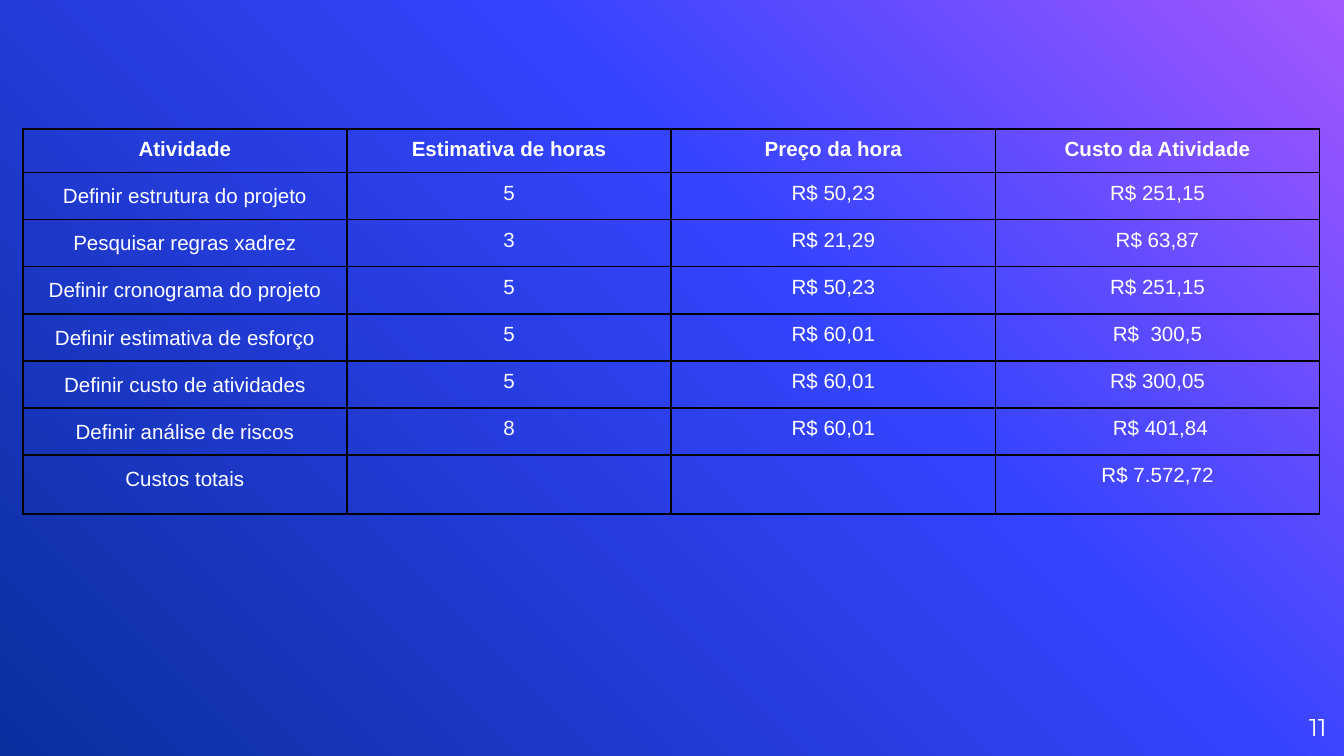
from lxml.etree import SubElement
from pptx import Presentation
from pptx.dml.color import RGBColor
from pptx.enum.text import MSO_ANCHOR, PP_ALIGN
from pptx.oxml.ns import qn
from pptx.util import Inches, Pt

HEADERS = ["Atividade", "Estimativa de horas", "Preço da hora", "Custo da Atividade"]
ACTIVITIES = [
    ("Definir estrutura do projeto", "5", "R$ 50,23", "R$ 251,15"),
    ("Pesquisar regras xadrez", "3", "R$ 21,29", "R$ 63,87"),
    ("Definir cronograma do projeto", "5", "R$ 50,23", "R$ 251,15"),
    ("Definir estimativa de esforço", "5", "R$ 60,01", "R$  300,5"),
    ("Definir custo de atividades", "5", "R$ 60,01", "R$ 300,05"),
    ("Definir análise de riscos", "8", "R$ 60,01", " R$ 401,84"),
]
TOTAL = ("Custos totais", "", "", "R$ 7.572,72")
PAGE_NUMBER = "11"
GRADIENT = [(0, "A458FF"), (39, "3544FF"), (100, "0A2F9E")]
WHITE, BLACK = "FFFFFF", "000000"
TABLE_WIDTH = 9.65
FRAME_SIZE = {"width": Inches(3.28), "height": Inches(3.28)}
HEADER_HEIGHT, BODY_HEIGHT = 0.23, 0.25
CELL_MARGIN = 0.07
HEADER_FONT = {"name": "Arial", "size": Pt(11), "bold": True}
BODY_FONT = {**HEADER_FONT, "bold": False}
NUMBER_FONT = {"name": "Montserrat", "size": Pt(13)}


def color(value):
    return RGBColor.from_string(value)


def set_attributes(target, values):
    for name, value in values.items():
        setattr(target, name, value)


def write(text_frame, text, font, alignment):
    paragraph = text_frame.paragraphs[0]
    paragraph.alignment = alignment
    run = paragraph.add_run()
    run.text = text
    set_attributes(run.font, font)
    run.font.color.rgb = color(WHITE)
    return paragraph


def add_color(parent, value):
    SubElement(parent, qn("a:srgbClr"), val=value)


def paint_background(slide):
    fill = slide.background.fill
    fill.gradient()
    fill.gradient_angle = 225
    stops = slide.element.find(f".//{qn('a:gsLst')}")
    for stop in list(stops):
        stops.remove(stop)
    for position, value in GRADIENT:
        add_color(SubElement(stops, qn("a:gs"), pos=str(position * 1000)), value)


def add_borders(cell):
    properties = cell._tc.get_or_add_tcPr()
    for side in ("L", "R", "T", "B"):
        line = SubElement(properties, qn(f"a:ln{side}"), w=str(Pt(1)))
        add_color(SubElement(line, qn("a:solidFill")), BLACK)


def keep_empty(cell):
    paragraph = cell.text_frame.paragraphs[0]
    ending = SubElement(paragraph._p, qn("a:endParaRPr"), sz="1800")
    SubElement(ending, qn("a:latin"), typeface="Arial")


def add_cost_table(slide):
    rows = [HEADERS, *ACTIVITIES, TOTAL]
    frame = slide.shapes.add_table(
        len(rows), len(HEADERS), Inches(0.17), Inches(0.96), *FRAME_SIZE.values()
    )
    table = frame.table
    set_attributes(table, {"first_row": False, "horz_banding": False})
    for column in table.columns:
        column.width = Inches(TABLE_WIDTH / len(HEADERS))
    margins = {f"margin_{side}": Inches(CELL_MARGIN) for side in ("left", "right", "top", "bottom")}
    for row_index, texts in enumerate(rows):
        table.rows[row_index].height = Inches(BODY_HEIGHT if row_index else HEADER_HEIGHT)
        font = BODY_FONT if row_index else HEADER_FONT
        for column_index, text in enumerate(texts):
            cell = table.cell(row_index, column_index)
            set_attributes(cell, margins)
            add_borders(cell)
            cell.fill.background()
            if not text:
                keep_empty(cell)
                continue
            paragraph = write(cell.text_frame, text, font, PP_ALIGN.CENTER)
            if row_index and column_index == 0:
                paragraph.line_spacing = 1.15
    set_attributes(frame, FRAME_SIZE)


def add_page_number(slide):
    box = slide.shapes.add_textbox(Inches(9.27), Inches(5.19), Inches(0.6), Inches(0.43))
    set_attributes(box.text_frame, {
        "word_wrap": True, "vertical_anchor": MSO_ANCHOR.MIDDLE,
        "margin_left": 0, "margin_right": 0, "margin_top": 0, "margin_bottom": 0,
    })
    write(box.text_frame, PAGE_NUMBER, NUMBER_FONT, PP_ALIGN.RIGHT)


def main():
    presentation = Presentation()
    width = Inches(10)
    set_attributes(presentation, {"slide_width": width, "slide_height": width * 9 // 16})
    slide = presentation.slides.add_slide(presentation.slide_layouts[6])
    paint_background(slide)
    add_page_number(slide)
    add_cost_table(slide)
    presentation.save("out.pptx")


if __name__ == "__main__":
    main()
